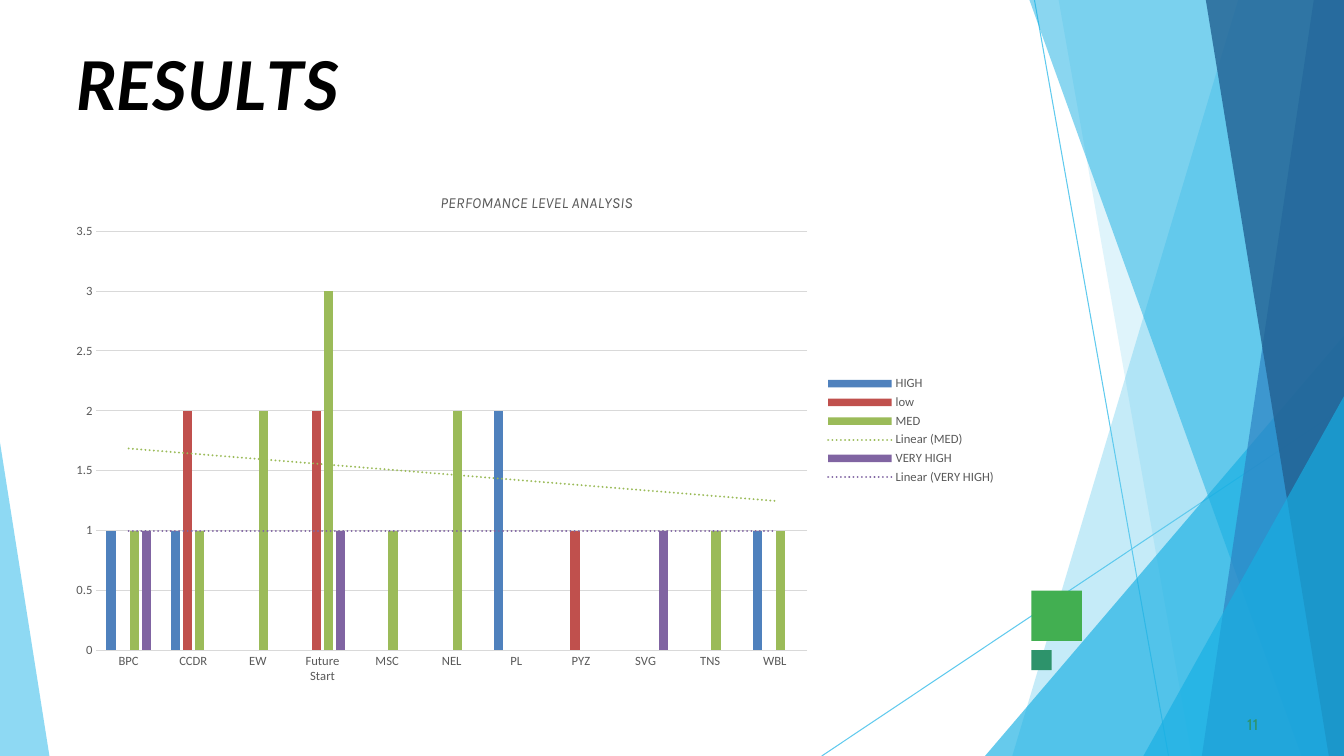
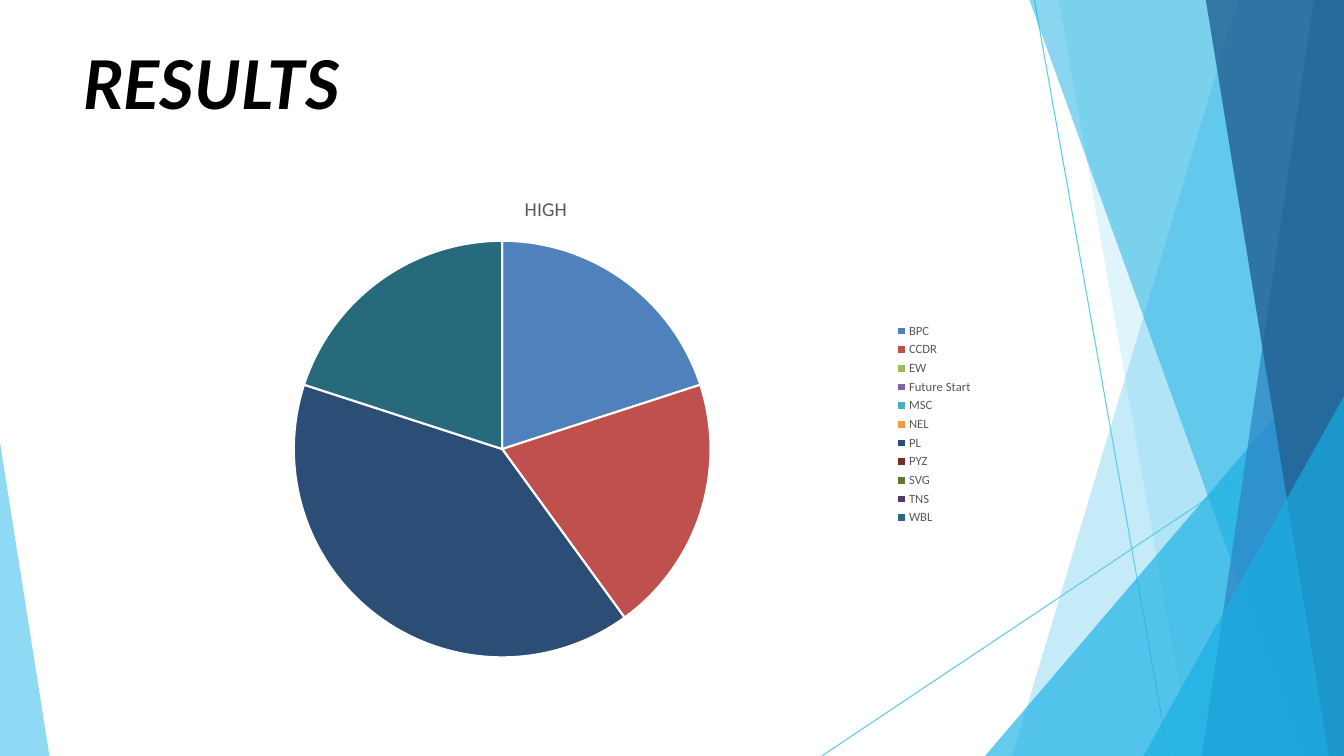
from lxml import etree
from pptx import Presentation
from pptx import util as u
from pptx.chart import data as cd
from pptx.dml.color import RGBColor
from pptx.enum import chart as ce, shapes
from pptx.oxml import parse_xml
from pptx.oxml.ns import nsdecls, qn

W, H = 13.33, 7.5
COLORS = {
    "sky": "5FCAEE", "cyan": "17AFE3", "blue": "2D83C3", "navy": "226192",
    "green": "42AF51", "teal": "2D936B", "black": "000000", "white": "FFFFFF",
    "gray": "595959", "grid": "D9D9D9",
}
ACCENTS = ["4F81BD", "C0504D", "9BBB59", "8064A2", "4BACC6", "F79646",
           "2C4D75", "772C2A", "5F7530", "4D3B62", "276A7C"]

# Facets of the background: colour, opacity in percent, corners
FACETS = [
    ("sky", 36, [(W, 0), (12.28, 0), (10.04, H), (W, H)]),
    ("sky", 20, [(W, 0), (10.5, 0), (11.82, H), (W, H)]),
    ("cyan", 66, [(W, 3.33), (9.77, H), (W, H)]),
    ("cyan", 50, [(W, 0), (10.21, 0), (12.91, H), (W, H)]),
    ("blue", 70, [(W, 0), (13.03, 0), (11.92, H), (W, H)]),
    ("navy", 80, [(W, 0), (11.96, 0), (13.18, H), (W, H)]),
    ("cyan", 66, [(W, 3.93), (11.34, H), (W, H)]),
    ("sky", 70, [(0, 4.39), (0, H), (0.49, H)]),
]
RAYS = [(10.26, 0, 11.59, H), (W, 4.04, 8.15, H)]

# Head counts per unit and performance level
UNITS = ["BPC", "CCDR", "EW", "Future Start", "MSC", "NEL",
         "PL", "PYZ", "SVG", "TNS", "WBL"]
LEVELS = {
    "HIGH": [1, 1, None, None, None, None, 2, None, None, None, 1],
    "low": [None, 2, None, 2, None, None, None, 1, None, None, None],
    "MED": [1, 1, 2, 3, 1, 2, None, None, None, 1, 1],
    "VERY HIGH": [1, None, None, 1, None, None, None, None, 1, None, None],
}


def rgb(name):
    return RGBColor.from_string(COLORS.get(name, name))


def shares(counts):
    total = sum(v or 0 for v in counts)
    return [v and round(100 * v / total) for v in counts]


class Deck:
    def __init__(self):
        self.prs = Presentation()
        self.prs.slide_width, self.prs.slide_height = u.Inches(W), u.Inches(H)
        self.s = None

    def slide(self):
        self.s = self.prs.slides.add_slide(self.prs.slide_layouts[6])
        for ray in RAYS:
            self.line(*ray)
        for color, alpha, corners in FACETS:
            self.facet(color, alpha, corners)

    def line(self, *ends):
        ln = self.s.shapes.add_connector(
            shapes.MSO_CONNECTOR.STRAIGHT, *map(u.Inches, ends))
        ln.line.color.rgb = rgb("sky")
        ln.line.width = u.Pt(0.75)
        etree.SubElement(ln._element.spPr, qn("a:effectLst"))

    def paint(self, sp, color):
        sp.shadow.inherit = False
        sp.fill.solid()
        sp.fill.fore_color.rgb = rgb(color)
        sp.line.fill.background()

    def facet(self, color, alpha, corners):
        pts = [(u.Inches(x), u.Inches(y)) for x, y in corners]
        fb = self.s.shapes.build_freeform(*pts[0])
        fb.add_line_segments(pts[1:], close=True)
        sp = fb.convert_to_shape()
        self.paint(sp, color)
        clr = sp._element.spPr.find(".//" + qn("a:srgbClr"))
        etree.SubElement(clr, qn("a:alpha"), val=str(alpha * 1000))

    def square(self, x, y, side, color):
        sp = self.s.shapes.add_shape(
            shapes.MSO_SHAPE.RECTANGLE, *map(u.Inches, (x, y, side, side)))
        self.paint(sp, color)

    def text(self, box, runs, font, size, color, bold=False, italic=False,
             before=0, indent=0, top=0):
        """Runs are (text, letter spacing in points) pairs."""
        tf = self.s.shapes.add_textbox(*map(u.Inches, box)).text_frame
        tf.word_wrap = True
        tf.margin_left = tf.margin_right = tf.margin_bottom = 0
        tf.margin_top = u.Inches(top)
        p = tf.paragraphs[0]
        p.space_before = u.Pt(before)
        p._p.get_or_add_pPr().set("marL", str(u.Inches(indent)))
        for words, spacing in runs:
            r = p.add_run()
            r.text = words
            self.font(r.font, size, color, font)
            r.font.bold, r.font.italic = bold, italic
            r._r.get_or_add_rPr().set("spc", str(round(spacing * 100)))

    def title(self, x, width, runs, **style):
        self.text((x, 0.42, width, 0.83), runs, "Lato", 48, "black",
                  bold=True, italic=True, **style)

    def font(self, f, size, color="gray", name="Calibri"):
        f.size, f.name, f.color.rgb = u.Pt(size), name, rgb(color)

    def layout(self, parent, **parts):
        """Place a chart part by fractions of the chart area."""
        old = parent.find(qn("c:layout"))
        if old is not None:
            parent.remove(old)
        lay = etree.Element(qn("c:layout"))
        manual = etree.SubElement(lay, qn("c:manualLayout"))
        if "w" in parts:
            etree.SubElement(manual, qn("c:layoutTarget"), val="inner")
        for key in "xy":
            etree.SubElement(manual, qn(f"c:{key}Mode"), val="edge")
        for key, value in parts.items():
            etree.SubElement(manual, qn("c:" + key), val=str(value))
        tx = parent.find(qn("c:tx"))
        if tx is None:
            parent.insert(0, lay)
        else:
            tx.addnext(lay)

    def chart(self, kind, box, series, title, size, font, italic, plot_area):
        data = cd.CategoryChartData()
        data.categories = UNITS
        for name, values in series.items():
            data.add_series(name, values)
        ch = self.s.shapes.add_chart(kind, *map(u.Inches, box), data).chart
        ch.replace_data(data)  # a new pie holds its first series only
        self.font(ch.font, 10, "black")
        ch.has_title = True
        r = ch.chart_title.text_frame.paragraphs[0].add_run()
        r.text = title
        self.font(r.font, size, name=font)
        r.font.bold, r.font.italic = False, italic
        ch.has_legend = True
        ch.legend.position = ce.XL_LEGEND_POSITION.RIGHT
        ch.legend.include_in_layout = False
        self.font(ch.legend.font, 9)
        self.layout(ch._chartSpace.chart.plotArea, **plot_area)
        return ch

    def columns(self, box, series, title, trends, plot_area):
        ch = self.chart(ce.XL_CHART_TYPE.COLUMN_CLUSTERED, box, series, title,
                        11, "Karla", True, plot_area)
        self.layout(ch.chart_title._element, x=0.4, y=0.04)
        plot = ch.plots[0]
        plot.vary_by_categories = False
        plot.gap_width, plot.overlap = 219, -27
        for ser, color in zip(plot.series, ACCENTS):
            ser.format.fill.solid()
            ser.format.fill.fore_color.rgb = rgb(color)
            if ser.name in trends:
                self.trend(ser, color)
        # Axes
        for axis in (ch.category_axis, ch.value_axis):
            axis.major_tick_mark = ce.XL_TICK_MARK.NONE
            self.font(axis.tick_labels.font, 9)
        val = ch.value_axis
        val.minimum_scale, val.maximum_scale, val.major_unit = 0, 3.5, 0.5
        val.format.line.fill.background()
        for ln in (ch.category_axis.format.line,
                   val.major_gridlines.format.line):
            ln.color.rgb = rgb("grid")
            ln.width = u.Pt(0.75)

    def trend(self, ser, color):
        ser._element.find(qn("c:cat")).addprevious(parse_xml(
            f'<c:trendline {nsdecls("c", "a")}><c:spPr>'
            f'<a:ln w="{u.Pt(1.5)}" cap="rnd"><a:solidFill>'
            f'<a:srgbClr val="{color}"/></a:solidFill>'
            '<a:prstDash val="sysDot"/></a:ln></c:spPr>'
            '<c:trendlineType val="linear"/><c:dispRSqr val="0"/>'
            '<c:dispEq val="0"/></c:trendline>'))

    def pie(self, box, series, title, plot_area):
        ch = self.chart(ce.XL_CHART_TYPE.PIE, box, series, title,
                        14, "Calibri", False, plot_area)
        ch.plots[0].vary_by_categories = True
        for ser in ch.plots[0].series:
            for i, color in enumerate(ACCENTS):
                fmt = ser.points[i].format
                fmt.fill.solid()
                fmt.fill.fore_color.rgb = rgb(color)
                fmt.line.color.rgb = rgb("white")
                fmt.line.width = u.Pt(1.5)


def main():
    deck = Deck()

    # Column chart of counts
    deck.slide()
    deck.square(10.23, 5.86, 0.5, "green")
    deck.square(10.23, 6.45, 0.2, "teal")
    deck.title(0.75, 3.17, [("R", 0), ("E", -0.4), ("S", 0.1), ("U", -0.3),
                            ("L", -4), ("TS", 0)],
               before=1.1, indent=0.01, top=0.01)
    deck.text((12.33, 7.08, 0.25, 0.21), [("11", 0.1)], "Cabin", 11, "teal",
              before=0.6, indent=0.04, top=0.01)
    deck.columns((0.58, 1.67, 9.4, 5.2), LEVELS, "PERFOMANCE LEVEL ANALYSIS",
                 ("MED", "VERY HIGH"), dict(x=0.04, y=0.12, w=0.75, h=0.8))

    # Pie chart of shares
    deck.slide()
    deck.title(0.83, 11.68, [("RESULTS", 0)])
    deck.pie((1.08, 1.75, 8.67, 4.92),
             {name: shares(counts) for name, counts in LEVELS.items()},
             "HIGH", dict(x=0.21, y=0.13, w=0.48, h=0.84))

    deck.prs.save("out.pptx")


if __name__ == "__main__":
    main()
